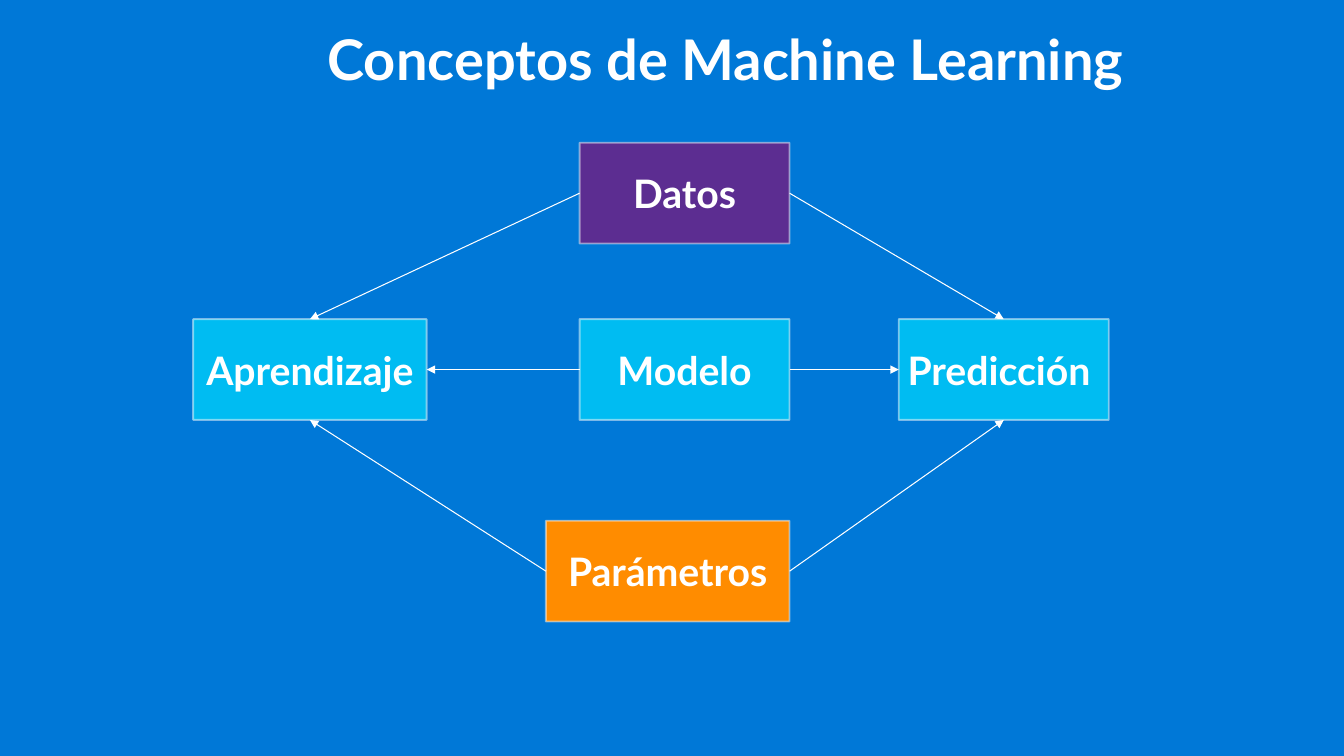
from lxml import etree
from pptx import Presentation
from pptx import util as u
from pptx.dml.color import RGBColor
from pptx.enum import shapes, text
from pptx.oxml.ns import qn

COLORS = {
    "background": "0078D7",
    "white": "FFFFFF",
    "outline": "F9F9F9",
    "purple": "5C2D91",
    "cyan": "00BCF2",
    "orange": "FF8C00",
}
FONT = "Lato"
CELL = u.Inches(1 / 12)
BOX_ROWS = 12
TOP, LEFT, BOTTOM, RIGHT = range(4)

BOXES = {
    "Datos": (69, 17, 25, "purple"),
    "Modelo": (69, 38, 25, "cyan"),
    "Parámetros": (65, 62, 29, "orange"),
    "Aprendizaje": (23, 38, 27.8, "cyan"),
    "Predicción ": (107, 38, 25, "cyan"),
}
ARROWS = [
    ("Datos", LEFT, "Aprendizaje", TOP),
    ("Modelo", LEFT, "Aprendizaje", RIGHT),
    ("Parámetros", LEFT, "Aprendizaje", BOTTOM),
    ("Datos", RIGHT, "Predicción ", TOP),
    ("Modelo", RIGHT, "Predicción ", LEFT),
    ("Parámetros", RIGHT, "Predicción ", BOTTOM),
]


def rgb(name):
    return RGBColor.from_string(COLORS[name])


def grid(*cells):
    return [round(c * CELL) for c in cells]


def write(sp, content, size, align, anchor, inset, wrap=True):
    tf = sp.text_frame
    tf.word_wrap = wrap
    tf.vertical_anchor = anchor
    tf.margin_left = tf.margin_right = u.Inches(inset[0])
    tf.margin_top = tf.margin_bottom = u.Inches(inset[1])
    p = tf.paragraphs[0]
    p.alignment = align
    r = p.add_run()
    r.text = content
    r.font.name = FONT
    r.font.size = u.Pt(size)
    r.font.bold = True
    r.font.color.rgb = rgb("white")
    return p


def add_title(s, content):
    sp = s.shapes.title
    sp.left, sp.top, sp.width, sp.height = grid(36.6, 1.9, 106, 11.2)
    p = write(sp, content, 40, text.PP_ALIGN.LEFT, text.MSO_ANCHOR.TOP,
              (0.2, 0.16), wrap=False)
    p.line_spacing = 0.9
    p.space_before = u.Pt(0)
    p.space_after = u.Pt(6)
    sp.text_frame.auto_size = text.MSO_AUTO_SIZE.SHAPE_TO_FIT_TEXT


def add_box(s, label, col, row, cols, fill):
    sp = s.shapes.add_shape(shapes.MSO_SHAPE.RECTANGLE,
                            *grid(col, row, cols, BOX_ROWS))
    sp.shadow.inherit = False
    sp.fill.solid()
    sp.fill.fore_color.rgb = rgb(fill)
    sp.line.width = u.Pt(1.35)
    sp.line.color.rgb = rgb("outline")
    color = sp.line._ln.find(".//" + qn("a:srgbClr"))
    etree.SubElement(color, qn("a:alpha"), val="50000")
    write(sp, label, 28, text.PP_ALIGN.CENTER, text.MSO_ANCHOR.MIDDLE,
          (0, 0.05))
    return sp


def add_arrow(s, source, source_side, target, target_side):
    cn = s.shapes.add_connector(shapes.MSO_CONNECTOR.STRAIGHT, 0, 0, 0, 0)
    cn.begin_connect(source, source_side)
    cn.end_connect(target, target_side)
    cn.line.width = u.Pt(0.75)
    cn.line.color.rgb = rgb("white")
    etree.SubElement(cn.line._ln, qn("a:tailEnd"), type="triangle")
    etree.SubElement(cn._element.spPr, qn("a:effectLst"))


def main():
    prs = Presentation()
    prs.slide_width, prs.slide_height = grid(160, 90)
    s = prs.slides.add_slide(prs.slide_layouts[5])
    s.background.fill.solid()
    s.background.fill.fore_color.rgb = rgb("background")
    add_title(s, "Conceptos de Machine Learning")
    boxes = {label: add_box(s, label, *place) for label, place in BOXES.items()}
    for source, source_side, target, target_side in ARROWS:
        add_arrow(s, boxes[source], source_side, boxes[target], target_side)
    prs.save("out.pptx")


if __name__ == "__main__":
    main()
